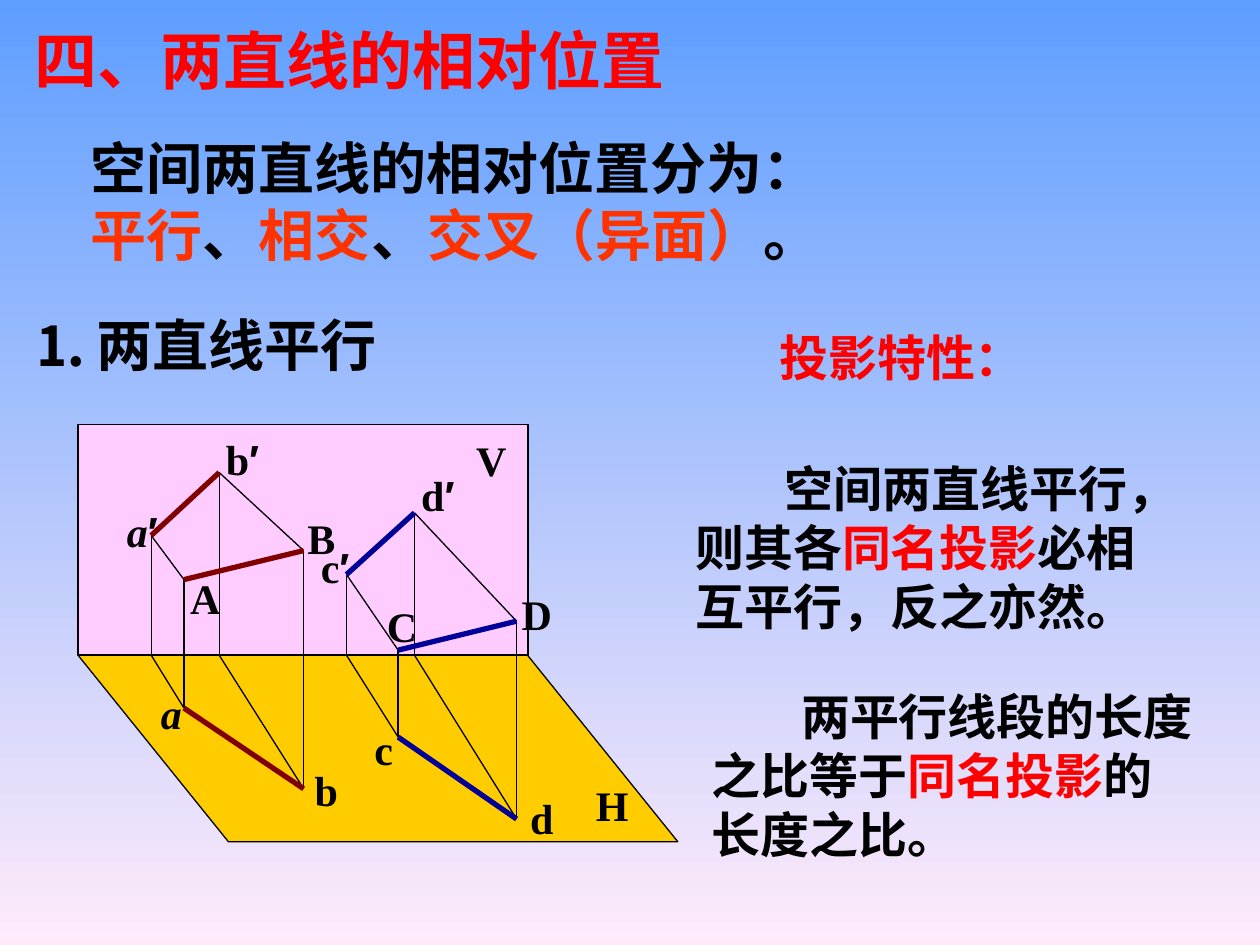
from dataclasses import dataclass

from lxml.etree import SubElement
from pptx import Presentation
from pptx.dml.color import RGBColor
from pptx.enum.shapes import MSO_CONNECTOR, MSO_SHAPE
from pptx.enum.text import MSO_ANCHOR, MSO_AUTO_SIZE, PP_ALIGN
from pptx.oxml.ns import qn
from pptx.util import Inches, Pt


@dataclass(frozen=True)
class Theme:
    font: str = "Times New Roman"
    prime: str = "Arial"
    ink: str = "000000"
    red: str = "FF0000"
    orange: str = "FF3300"
    sky: str = "5E9EFF"
    blush: str = "FFEBFA"
    pink: str = "FFCCFF"
    gold: str = "FFCC00"
    maroon: str = "800000"
    navy: str = "000099"
    title: int = 36
    lead: int = 32
    note: int = 28
    label: int = 24
    thin: float = 0.75
    thick: float = 3


class Deck:
    def __init__(self, theme):
        self.theme = theme
        self.prs = Presentation()
        self.prs.slide_width, self.prs.slide_height = Inches(10), Inches(7.5)
        self.slide = self.prs.slides.add_slide(self.prs.slide_layouts[1])

    def backdrop(self, top, bottom):
        fill = self.slide.background.fill
        fill.gradient()
        fill.gradient_angle = 270
        for stop, color, place in zip(fill.gradient_stops, (top, bottom), (0, 1)):
            stop.color.rgb = RGBColor.from_string(color)
            stop.position = place

    def holder(self, index, box, lines, size):
        """Move and fill one of the template's placeholders."""
        shape = self.slide.placeholders[index]
        shape.left, shape.top, shape.width, shape.height = map(Inches, box)
        self.letter(shape, lines, size)

    def text(self, box, lines, size, **style):
        self.letter(self.slide.shapes.add_textbox(*map(Inches, box)), lines, size, **style)

    def letter(self, shape, lines, size, align=PP_ALIGN.LEFT, wrap=True, indent=0, tab=None):
        """Fill a shape; each line is a list of (text, colour) or (text, colour, font changes)."""
        frame = shape.text_frame
        frame.auto_size = MSO_AUTO_SIZE.NONE
        frame.word_wrap = wrap
        frame.vertical_anchor = MSO_ANCHOR.MIDDLE
        for number, parts in enumerate(lines):
            para = frame.add_paragraph() if number else frame.paragraphs[0]
            para.alignment = align
            para.space_before = Pt(0)
            props = para._p.get_or_add_pPr()
            props.set("marL", "0")
            props.set("indent", str(Inches(indent)))
            SubElement(props, qn("a:buNone"))
            if tab:
                stops = SubElement(props, qn("a:tabLst"))
                SubElement(stops, qn("a:tab"), pos=str(Inches(tab)), algn="l")
            for words, color, *extra in parts:
                run = para.add_run()
                run.text = words
                font = run.font
                font.name, font.size, font.bold = self.theme.font, Pt(size), True
                font.color.rgb = RGBColor.from_string(color)
                for changes in extra:
                    font.name = changes.get("name", self.theme.font)
                    font.italic = changes.get("italic", False)

    def plane(self, kind, box, color):
        shape = self.slide.shapes.add_shape(kind, *map(Inches, box))
        shape.shadow.inherit = False
        shape.fill.solid()
        shape.fill.fore_color.rgb = RGBColor.from_string(color)
        shape.line.color.rgb = RGBColor.from_string(self.theme.ink)
        shape.line.width = Pt(self.theme.thin)
        return shape

    def line(self, start, end, color, width):
        link = self.slide.shapes.add_connector(
            MSO_CONNECTOR.STRAIGHT, *map(Inches, (*start, *end)))
        link.line.color.rgb = RGBColor.from_string(color)
        link.line.width = Pt(width)
        SubElement(link._element.spPr, qn("a:effectLst"))

    def label(self, name, left, top, width):
        """Name a point or plane; a final prime takes its own font."""
        look = self.theme
        base = name.rstrip("′")
        parts = [(base, look.ink, {"italic": base == "a"})]
        if base != name:
            parts.append(("′", look.ink, {"name": look.prime}))
        self.text((left, top, width, 0.5), [parts], look.label,
                  align=PP_ALIGN.CENTER, wrap=False)

    def segment(self, ends, axis, color):
        """Draw a segment, its two projections and the projecting lines.

        Each end gives its front view, its place in space and its top view.
        """
        look = self.theme
        for front, space, top in ends:
            foot = (front[0], axis)
            ring = (front, foot, top, space, front)
            for start, end in zip(ring, ring[1:]):
                self.line(start, end, look.ink, look.thin)
        for start, end in zip(*ends):
            self.line(start, end, color, look.thick)


AXIS = 5.2
AB = (((1.2, 4.25), (1.46, 4.6), (1.46, 5.62)),
      ((1.74, 3.75), (2.41, 4.37), (2.41, 6.26)))
CD = (((2.75, 4.56), (3.16, 5.16), (3.16, 5.85)),
      ((3.29, 4.07), (4.1, 4.93), (4.1, 6.5)))
LABELS = (
    ("V", 3.68, 3.4, 0.44), ("H", 4.63, 6.14, 0.46),
    ("a′", 0.89, 3.96, 0.48), ("b′", 1.68, 3.39, 0.49),
    ("c′", 2.43, 4.25, 0.46), ("d′", 3.23, 3.68, 0.49),
    ("A", 1.41, 4.49, 0.44), ("B", 2.34, 4.02, 0.42),
    ("C", 2.97, 4.72, 0.44), ("D", 4.04, 4.62, 0.44),
    ("a", 1.18, 5.41, 0.36), ("b", 2.4, 6.02, 0.38),
    ("c", 2.87, 5.69, 0.35), ("d", 4.11, 6.24, 0.38),
)


def main():
    look = Theme()
    deck = Deck(look)
    deck.backdrop(look.sky, look.blush)

    deck.holder(0, (0.17, 0.12, 5.92, 0.7), [[("四、两直线的相对位置", look.red)]], look.title)
    deck.holder(1, (0.62, 1.01, 6.43, 1.17), [
        [("空间两直线的相对位置分为：", look.ink)],
        [("平行", look.orange), ("、", look.ink), ("相交", look.orange),
         ("、", look.ink), ("交叉（异面）", look.orange), ("。", look.ink)],
    ], look.lead)
    deck.text((0.17, 2.41, 3.69, 0.64), [[("⒈\t两直线平行", look.ink)]], look.lead, tab=0.63)
    deck.text((5.63, 2.55, 3.05, 0.57), [[("投影特性：", look.red)]], look.note,
              align=PP_ALIGN.CENTER)

    rules = (
        (5.42, 3.59, "空间两直线平行，则其各", "必相互平行，反之亦然。"),
        (5.55, 5.4, "两平行线段的长度之比等于", "的长度之比。"),
    )
    for left, top, before, after in rules:
        parts = [(before, look.ink), ("同名投影", look.red), (after, look.ink)]
        deck.text((left, top, 4.07, 1.5), [parts], look.note, indent=0.71)

    floor = deck.plane(MSO_SHAPE.PARALLELOGRAM, (0.62, AXIS, 4.76, 1.48), look.gold)
    floor.adjustments[0] = 0.806
    floor._element.spPr.get_or_add_xfrm().set("flipH", "1")
    deck.plane(MSO_SHAPE.RECTANGLE, (0.62, 3.37, 3.57, 1.83), look.pink)
    deck.segment(AB, AXIS, look.maroon)
    deck.segment(CD, AXIS, look.navy)
    for mark in LABELS:
        deck.label(*mark)

    deck.prs.save("out.pptx")


if __name__ == "__main__":
    main()
